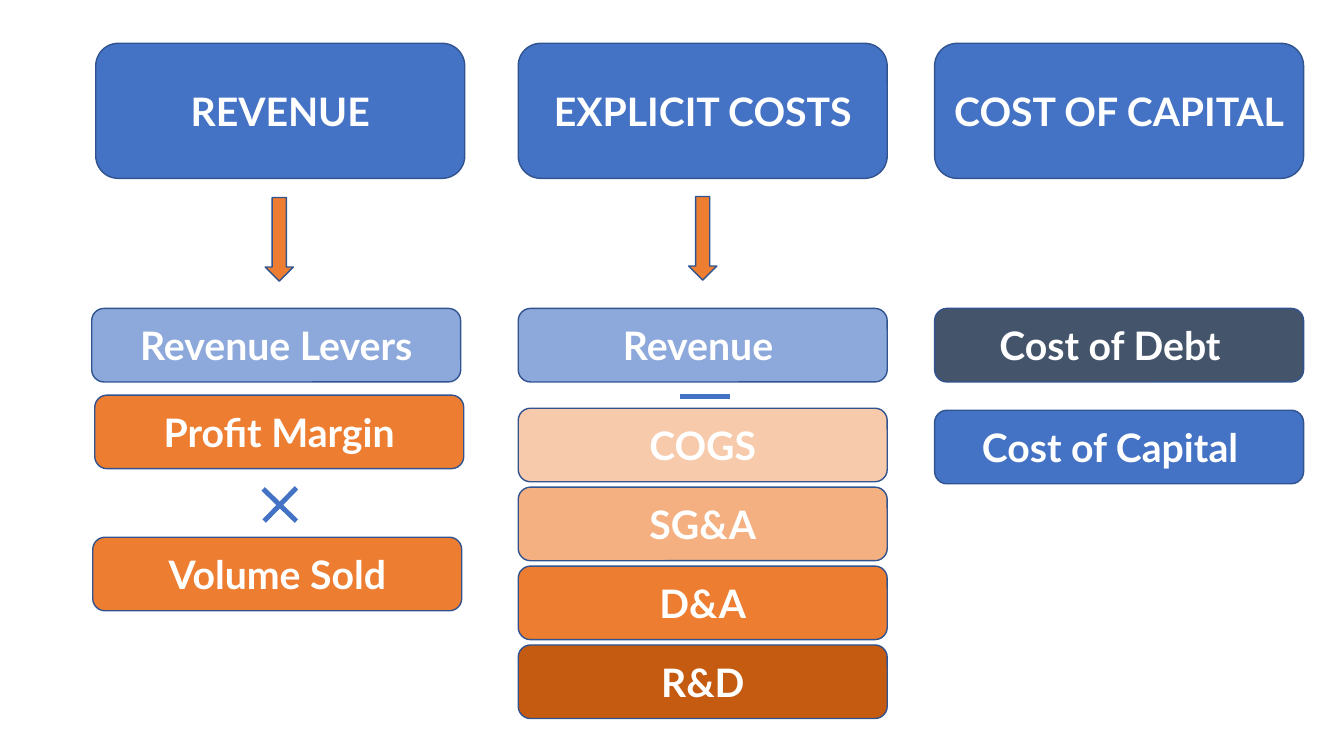
from lxml.etree import SubElement
from pptx import Presentation
from pptx.dml.color import RGBColor
from pptx.enum.shapes import MSO_CONNECTOR, MSO_SHAPE
from pptx.enum.text import MSO_ANCHOR, PP_ALIGN
from pptx.oxml.ns import qn
from pptx.util import Inches, Pt

BLUE = RGBColor(0x44, 0x72, 0xC4)
LIGHT_BLUE = RGBColor(0x8D, 0xA9, 0xDB)
OUTLINE = RGBColor(0x31, 0x53, 0x8F)
SLATE = RGBColor(0x44, 0x54, 0x6A)
ORANGE = RGBColor(0xED, 0x7D, 0x31)
PEACH = RGBColor(0xF7, 0xCA, 0xAC)
LIGHT_ORANGE = RGBColor(0xF4, 0xB0, 0x81)
DARK_ORANGE = RGBColor(0xC5, 0x5A, 0x11)
WHITE = RGBColor(0xFF, 0xFF, 0xFF)

COLUMN_LEFTS = (0.95, 5.14, 9.27)
BOX_WIDTH, HEADER_HEIGHT, ITEM_HEIGHT = 3.66, 1.34, 0.73
HEADER_TOP, ITEM_TOP = 0.43, 3.06
COST_TOP, COST_STEP = 4.05, 0.783
MARGIN = 0.1

HEADERS = ("REVENUE", "EXPLICIT COSTS", "COST OF CAPITAL")
COSTS = (("COGS", PEACH), ("SG&A", LIGHT_ORANGE), ("D&A", ORANGE), ("R&D", DARK_ORANGE))
# text, fill, left, top, extra right margin
ITEMS = [
    ("Revenue Levers", LIGHT_BLUE, 0.91, ITEM_TOP, 0),
    ("Profit Margin", ORANGE, 0.94, 3.92, 0),
    ("Volume Sold", ORANGE, 0.92, 5.33, 0),
    ("Revenue", LIGHT_BLUE, COLUMN_LEFTS[1], ITEM_TOP, 0.09),
    ("Cost of Debt", SLATE, COLUMN_LEFTS[2], ITEM_TOP, 0.18),
    ("Cost of Capital", BLUE, COLUMN_LEFTS[2], 4.07, 0.18),
]
ARROWS = ((2.63, 1.96), (6.83, 1.95))
ARROW_WIDTH, ARROW_HEIGHT = 0.28, 0.83
# start x, start y, end x, end y: the times sign, then the minus sign
SIGN_STROKES = (
    (2.61, 4.85, 2.94, 5.17),
    (2.94, 4.84, 2.62, 5.17),
    (6.74, 3.93, 7.24, 3.93),
)


def add_outlined(slide, kind, left, top, width, height, fill):
    shape = slide.shapes.add_shape(kind, *map(Inches, (left, top, width, height)))
    shape.shadow.inherit = False
    shape.fill.solid()
    shape.fill.fore_color.rgb = fill
    shape.line.color.rgb = OUTLINE
    shape.line.width = Pt(1)
    return shape


def add_box(slide, text, fill, left, top, height=ITEM_HEIGHT, extra_margin=0):
    shape = add_outlined(slide, MSO_SHAPE.ROUNDED_RECTANGLE, left, top, BOX_WIDTH, height, fill)
    frame = shape.text_frame
    frame.word_wrap = True
    frame.vertical_anchor = MSO_ANCHOR.MIDDLE
    frame.margin_right = Inches(MARGIN + extra_margin)
    paragraph = frame.paragraphs[0]
    paragraph.alignment = PP_ALIGN.CENTER
    run = paragraph.add_run()
    run.text = text
    run.font.name = "Lato"
    run.font.size = Pt(28)
    run.font.bold = True
    run.font.color.rgb = WHITE


def add_stroke(slide, *ends):
    line = slide.shapes.add_connector(MSO_CONNECTOR.STRAIGHT, *map(Inches, ends))
    line.line.color.rgb = BLUE
    line.line.width = Pt(3.5)
    SubElement(line._element.spPr, qn("a:effectLst"))


def main():
    presentation = Presentation()
    presentation.slide_width = Inches(13.33)
    presentation.slide_height = Inches(7.5)
    slide = presentation.slides.add_slide(presentation.slide_layouts[6])

    for text, left in zip(HEADERS, COLUMN_LEFTS):
        add_box(slide, text, BLUE, left, HEADER_TOP, HEADER_HEIGHT)
    for left, top in ARROWS:
        add_outlined(slide, MSO_SHAPE.DOWN_ARROW, left, top, ARROW_WIDTH, ARROW_HEIGHT, ORANGE)
    for text, fill, left, top, extra_margin in ITEMS:
        add_box(slide, text, fill, left, top, extra_margin=extra_margin)
    for index, (text, fill) in enumerate(COSTS):
        add_box(slide, text, fill, COLUMN_LEFTS[1], COST_TOP + index * COST_STEP)
    for stroke in SIGN_STROKES:
        add_stroke(slide, *stroke)

    presentation.save("out.pptx")


if __name__ == "__main__":
    main()
